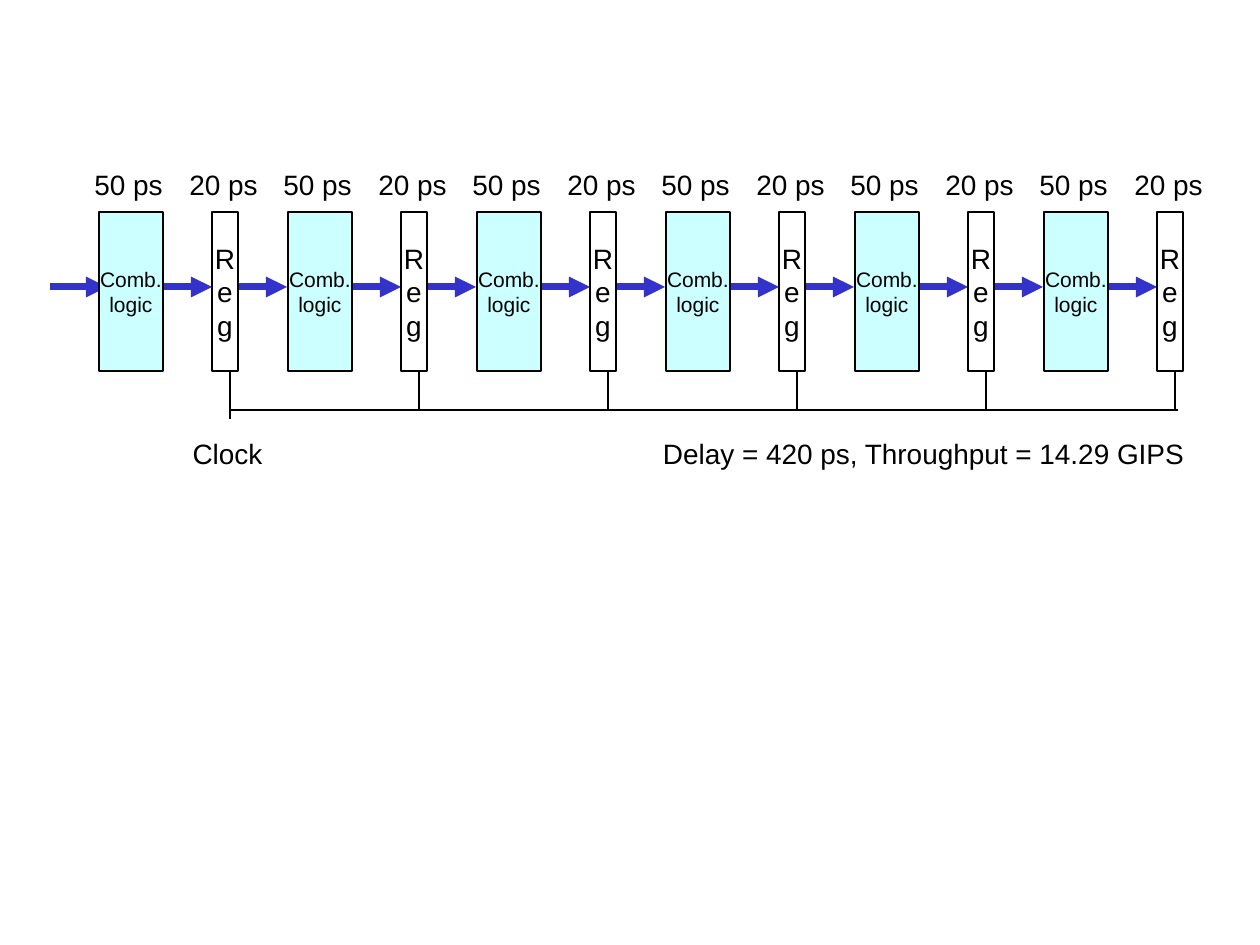
from lxml.etree import SubElement
from pptx import Presentation
from pptx.dml.color import RGBColor
from pptx.enum.shapes import MSO_CONNECTOR, MSO_SHAPE
from pptx.enum.text import MSO_ANCHOR, MSO_AUTO_SIZE, PP_ALIGN
from pptx.oxml.ns import qn
from pptx.util import Pt

PX = 914400 / 126
FONT = "Arial"
BLACK, WHITE, CYAN, BLUE = "000000", "FFFFFF", "CCFFFF", "3333CC"
STAGES = 6
STEP = 189
LOGIC_X, LOGIC_W = 99, 64
REG_X, REG_W = 212, 26
BOX_Y, BOX_H = 212, 159
FLOW_Y, ARROW_W = 287, 57
STEM_X, CLOCK_Y = 230, 410
LABEL_W, LABEL_H = 97, 45
LABEL_Y, CAPTION_Y = 161, 431


def emu(*px):
    return [round(n * PX) for n in px]


def rgb(color):
    return RGBColor.from_string(color)


def write(s, lines, size, align=PP_ALIGN.CENTER):
    tf = s.text_frame
    tf.word_wrap = False
    tf.margin_left = tf.margin_right = round(11 * PX)
    tf.margin_top = tf.margin_bottom = round(6 * PX)
    for i, line in enumerate(lines):
        p = tf.add_paragraph() if i else tf.paragraphs[0]
        p.alignment = align
        r = p.add_run()
        r.text = line
        r.font.name = FONT
        r.font.size = Pt(size)
        r.font.color.rgb = rgb(BLACK)
    return tf


def add_label(slide, text, x, y, w, align=PP_ALIGN.CENTER):
    s = slide.shapes.add_textbox(*emu(x, y, w, LABEL_H))
    tf = write(s, [text], 16, align)
    tf.auto_size = MSO_AUTO_SIZE.SHAPE_TO_FIT_TEXT


def add_box(slide, lines, x, w, fill, size):
    s = slide.shapes.add_shape(MSO_SHAPE.RECTANGLE, *emu(x, BOX_Y, w, BOX_H))
    s.shadow.inherit = False
    s.fill.solid()
    s.fill.fore_color.rgb = rgb(fill)
    s.line.color.rgb = rgb(BLACK)
    s.line.width = Pt(1)
    tf = write(s, lines, size)
    tf.vertical_anchor = MSO_ANCHOR.MIDDLE


def add_line(slide, x1, y1, x2, y2, color=BLACK, width=1):
    s = slide.shapes.add_connector(MSO_CONNECTOR.STRAIGHT, *emu(x1, y1, x2, y2))
    s.line.color.rgb = rgb(color)
    s.line.width = Pt(width)
    SubElement(s._element.spPr, qn("a:effectLst"))
    return s


def add_arrow(slide, x):
    s = add_line(slide, x, FLOW_Y, x + ARROW_W, FLOW_Y, BLUE, 4)
    SubElement(s.line._get_or_add_ln(), qn("a:tailEnd"), type="triangle")


def add_stage(slide, index):
    dx = index * STEP
    add_box(slide, ["Comb.", "logic"], LOGIC_X + dx, LOGIC_W, CYAN, 12)
    add_box(slide, ["R", "e", "g"], REG_X + dx, REG_W, WHITE, 16)
    add_label(slide, "50 ps", 80 + dx, LABEL_Y, LABEL_W)
    add_label(slide, "20 ps", 175 + dx, LABEL_Y, LABEL_W)
    stem_end = CLOCK_Y if index else CLOCK_Y + 9
    add_line(slide, STEM_X + dx, BOX_Y + BOX_H, STEM_X + dx, stem_end)


def main():
    prs = Presentation()
    prs.slide_width, prs.slide_height = emu(1260, 945)
    slide = prs.slides.add_slide(prs.slide_layouts[6])
    add_arrow(slide, 50)
    for i in range(STAGES):
        add_arrow(slide, 155 + i * STEP)
        if i < STAGES - 1:
            add_arrow(slide, STEM_X + i * STEP)
    for i in range(STAGES):
        add_stage(slide, i)
    add_line(slide, STEM_X, CLOCK_Y, 1178, CLOCK_Y)
    add_label(slide, "Clock", 179, CAPTION_Y, 97)
    add_label(slide, "Delay = 420 ps, Throughput = 14.29 GIPS",
              652, CAPTION_Y, 562, PP_ALIGN.LEFT)
    prs.save("out.pptx")


if __name__ == "__main__":
    main()
